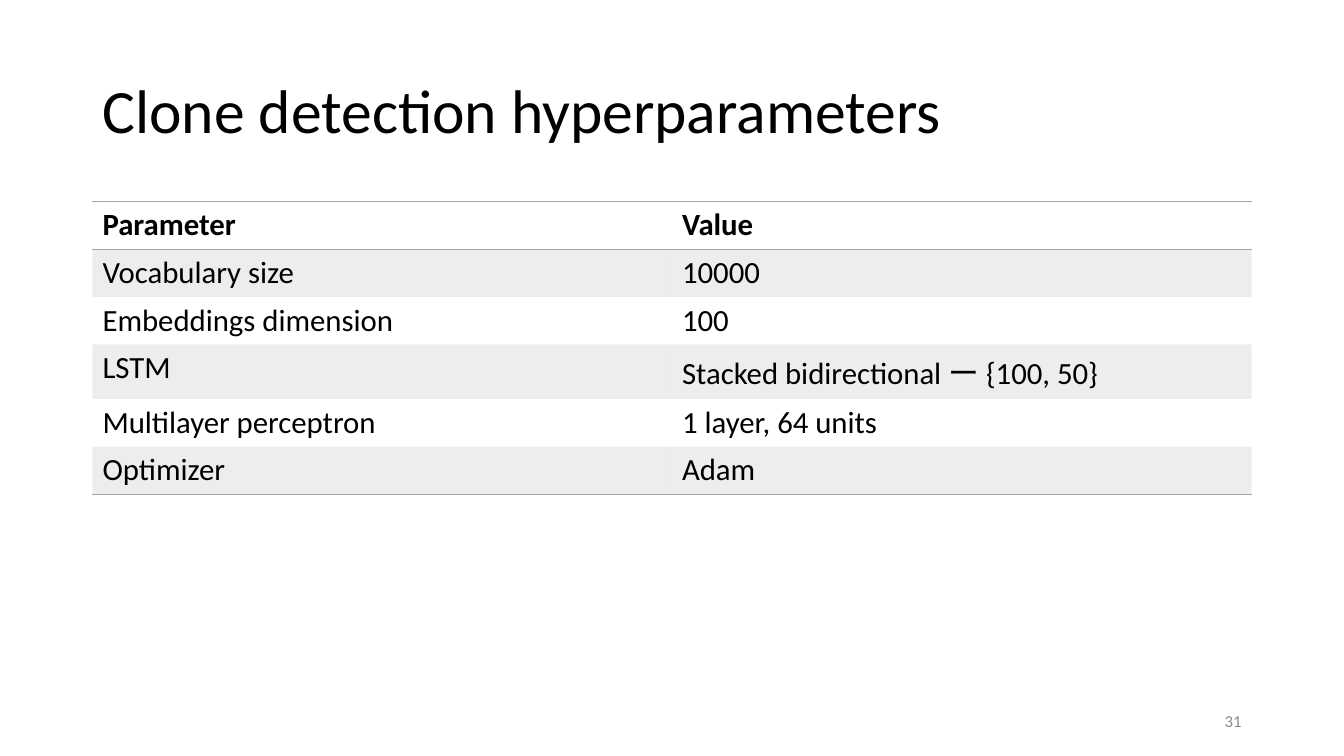
import pptx
import pptx.dml.color
import pptx.enum.text
import pptx.oxml
import pptx.oxml.ns
import pptx.util
from pptx.util import Cm

COLORS = {"text": "000000", "rule": "A5A5A5", "page": "8C8C8C"}
NO_STYLE = "{2D5ABB26-0587-4C30-8999-92F81FD0307C}"
BAND_OPACITY = 20
LEFT, WIDTH = 2.33, 29.21

HYPERPARAMETERS = [
    ("Parameter", "Value"),
    ("Vocabulary size", "10000"),
    ("Embeddings dimension", "100"),
    ("LSTM", "Stacked bidirectional ー {100, 50}"),
    ("Multilayer perceptron", "1 layer, 64 units"),
    ("Optimizer", "Adam"),
]


class SlideBuilder:
    def __init__(self, deck, font="Calibri"):
        self.font = font
        self.slide = deck.slides.add_slide(deck.slide_layouts[5])

    def add_text(self, frame, text, size, color="text", bold=False,
                 align=pptx.enum.text.PP_ALIGN.LEFT):
        paragraph = frame.paragraphs[0]
        paragraph.alignment = align
        run = paragraph.add_run()
        run.text = text
        run.font.name = self.font
        run.font.size = pptx.util.Pt(size)
        run.font.bold = bold
        run.font.color.rgb = pptx.dml.color.RGBColor.from_string(COLORS[color])
        return paragraph

    def title(self, text):
        heading = self.slide.shapes.title
        heading.left, heading.top = Cm(LEFT), Cm(1.01)
        heading.width, heading.height = Cm(WIDTH), Cm(3.68)
        frame = heading.text_frame
        frame.auto_size = pptx.enum.text.MSO_AUTO_SIZE.NONE
        frame.vertical_anchor = pptx.enum.text.MSO_ANCHOR.MIDDLE
        self.add_text(frame, text, 44).line_spacing = 0.9

    def page_number(self, text):
        corner = self.slide.shapes.add_textbox(Cm(23.92), Cm(17.65), Cm(7.62), Cm(1.01))
        frame = corner.text_frame
        frame.word_wrap = True
        frame.vertical_anchor = pptx.enum.text.MSO_ANCHOR.MIDDLE
        self.add_text(frame, text, 12, "page", align=pptx.enum.text.PP_ALIGN.RIGHT)

    def shade(self, cell):
        cell.fill.solid()
        cell.fill.fore_color.rgb = pptx.dml.color.RGBColor.from_string(COLORS["rule"])
        tint = cell._tc.tcPr.find(".//" + pptx.oxml.ns.qn("a:srgbClr"))
        alpha = pptx.oxml.parse_xml(
            f'<a:alpha {pptx.oxml.ns.nsdecls("a")} val="{BAND_OPACITY * 1000}"/>')
        tint.append(alpha)

    def rule(self, cell, sides):
        # Borders come before the fill in the cell properties
        for position, side in enumerate(sides):
            border = pptx.oxml.parse_xml(
                f'<a:ln{side} {pptx.oxml.ns.nsdecls("a")} w="{pptx.util.Pt(1)}"><a:solidFill>'
                f'<a:srgbClr val="{COLORS["rule"]}"/></a:solidFill></a:ln{side}>')
            cell._tc.get_or_add_tcPr().insert(position, border)

    def table(self, rows):
        table = self.slide.shapes.add_table(
            len(rows), len(rows[0]), Cm(LEFT), Cm(5.08), Cm(WIDTH), Cm(1.04 * len(rows))).table
        table.horz_banding = False
        table._tbl.tblPr.find(pptx.oxml.ns.qn("a:tableStyleId")).text = NO_STYLE
        border_sides = {0: "TB", len(rows) - 1: "B"}
        for row, entries in enumerate(rows):
            for column, entry in enumerate(entries):
                cell = table.cell(row, column)
                self.add_text(cell.text_frame, entry, 22, bold=row == 0)
                if row % 2:
                    self.shade(cell)
                else:
                    cell.fill.background()
                self.rule(cell, border_sides.get(row, ""))


def main():
    deck = pptx.Presentation()
    deck.slide_width, deck.slide_height = Cm(33.87), Cm(19.05)
    builder = SlideBuilder(deck)

    # Heading
    builder.title("Clone detection hyperparameters")

    # Hyperparameter table
    builder.table(HYPERPARAMETERS)

    # Page number
    builder.page_number("31")

    deck.save("out.pptx")


if __name__ == "__main__":
    main()
